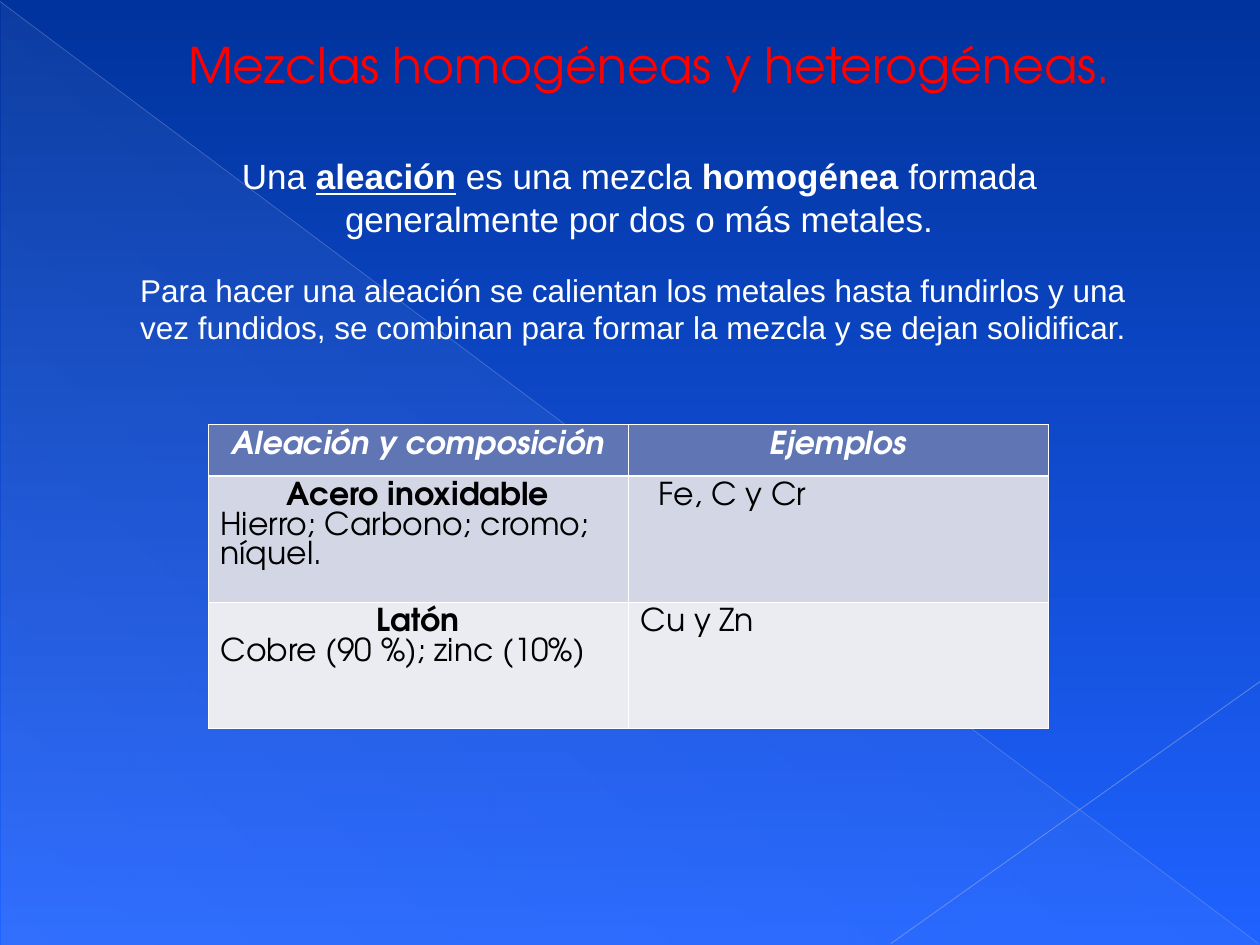
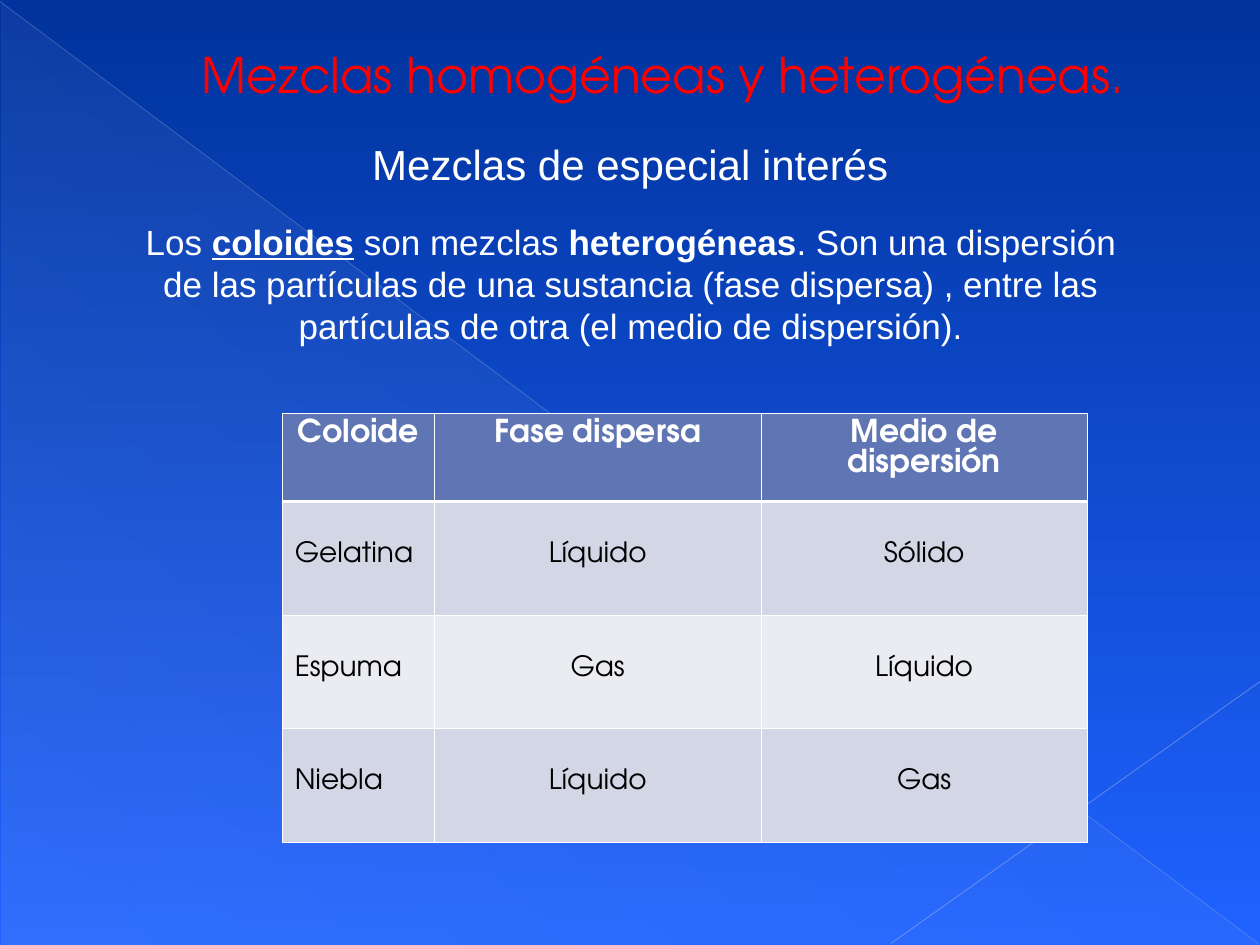
from lxml import etree
from pptx import Presentation
from pptx.dml.color import RGBColor
from pptx.enum import shapes, text
from pptx.oxml.ns import qn
from pptx.util import Cm, Pt

COLORS = {
    "background_top": "00339D",
    "background_bottom": "1F62FF",
    "veil": "E4E9EF",
    "long_diagonal": "A9B6DB",
    "short_diagonal": "B3BEDE",
    "title": "FF0000",
    "white": "FFFFFF",
    "black": "000000",
    "header": "6076B4",
    "odd_row": "D2D6E5",
    "even_row": "EAECF2",
}
HEADING_FONT = "TeX Gyre Adventor"
BODY_FONT = "Arial"
TITLE = "Mezclas homogéneas y heterogéneas."
LEFT, CENTER = text.PP_ALIGN.LEFT, text.PP_ALIGN.CENTER
THIN, THICK = 0.45, 1.47


def rgb(name):
    return RGBColor.from_string(COLORS[name])


def set_alpha(color_element, percent):
    etree.SubElement(color_element, qn("a:alpha"), val=str(percent * 1000))


def fill_gradient(fill, colors, angle):
    fill.gradient()
    fill.gradient_angle = angle
    for stop, color in zip(fill.gradient_stops, colors):
        stop.color.rgb = rgb(color)


def write_text(frame, content, size=18, font=BODY_FONT, color="white",
               bold=False, italic=False, align=CENTER, line_spacing=None):
    """Add a paragraph; content is a string or (string, marks) pairs, marks "b" and "u"."""
    paragraph = frame.paragraphs[0]
    if paragraph.runs:
        paragraph = frame.add_paragraph()
    paragraph.alignment = align
    if line_spacing:
        paragraph.line_spacing = line_spacing
    pieces = [(content, "")] if isinstance(content, str) else content
    for piece, marks in pieces:
        run = paragraph.add_run()
        run.text = piece
        run.font.size = Pt(size)
        run.font.name = font
        run.font.color.rgb = rgb(color)
        run.font.bold = bold or "b" in marks
        run.font.italic = italic
        run.font.underline = "u" in marks


def add_veil(slide):
    triangle = slide.shapes.add_shape(shapes.MSO_SHAPE.RIGHT_TRIANGLE,
                                      Cm(0.03), Cm(0.05), Cm(25.37), Cm(19))
    triangle.shadow.inherit = False
    triangle.line.fill.background()
    fill_gradient(triangle.fill, ("veil", "veil"), 227)
    stops = triangle.element.spPr.iter(qn("a:srgbClr"))
    for color_element, percent in zip(stops, (1, 10)):
        set_alpha(color_element, percent)
    return triangle


def add_diagonal(slide, start, end, color, width, alpha):
    points = [Cm(value) for value in (*start, *end)]
    line = slide.shapes.add_connector(shapes.MSO_CONNECTOR.STRAIGHT, *points)
    line.line.color.rgb = rgb(color)
    line.line.width = Pt(width)
    properties = line.element.spPr
    set_alpha(next(properties.iter(qn("a:srgbClr"))), alpha)
    etree.SubElement(properties, qn("a:effectLst"))
    return line


def decorate_layout(layout, slide):
    """Draw the backdrop with the slide's shape tools, then move it to the layout."""
    fill_gradient(layout.background.fill,
                  ("background_top", "background_bottom"), 270)
    backdrop = [
        add_veil(slide),
        add_diagonal(slide, (0, 0.03), (25.37, 19.02), "long_diagonal", 0.4, 35),
        add_diagonal(slide, (25.4, 13.74), (17.96, 19.02), "short_diagonal", 0.48, 45),
    ]
    tree = layout.shapes.element
    for index, shape in enumerate(backdrop):
        shape.element.xpath("./*/p:cNvPr")[0].set("id", str(100 + index))
        tree.insert(2 + index, shape.element)


def add_title(slide, left, top, align):
    title = slide.shapes.title
    title.left, title.top, title.width, title.height = (
        Cm(left), Cm(top), Cm(21.59), Cm(1.9))
    frame = title.text_frame
    frame.auto_size = text.MSO_AUTO_SIZE.NONE
    frame.vertical_anchor = text.MSO_ANCHOR.TOP
    write_text(frame, TITLE, size=28, font=HEADING_FONT, color="title",
               align=align, line_spacing=0.9)


def add_text(slide, left, top, width, height, content, size):
    box = slide.shapes.add_textbox(Cm(left), Cm(top), Cm(width), Cm(height))
    box.text_frame.word_wrap = True
    write_text(box.text_frame, content, size=size)


def set_borders(cell, top, bottom):
    properties = cell._tc.get_or_add_tcPr()
    sides = {"L": THIN, "R": THIN, "T": top, "B": bottom}
    for index, (side, width) in enumerate(sides.items()):
        border = etree.Element(qn(f"a:ln{side}"), w=str(Pt(width)))
        fill = etree.SubElement(border, qn("a:solidFill"))
        etree.SubElement(fill, qn("a:srgbClr"), val=COLORS["white"])
        properties.insert(index, border)


def add_table(slide, left, top, widths, heights):
    """Add an empty table with a header row, banded fills and white borders."""
    table = slide.shapes.add_table(len(heights), len(widths), Cm(left), Cm(top),
                                   Cm(sum(widths)), Cm(sum(heights))).table
    for column, width in zip(table.columns, widths):
        column.width = Cm(width)
    for index, (row, height) in enumerate(zip(table.rows, heights)):
        row.height = Cm(height)
        band = "header" if index == 0 else "odd_row" if index % 2 else "even_row"
        for cell in row.cells:
            cell.fill.solid()
            cell.fill.fore_color.rgb = rgb(band)
            set_borders(cell, THICK if index == 1 else THIN,
                        THICK if index == 0 else THIN)
    return table


def write_header(table, labels, italic=False):
    for cell, label in zip(table.rows[0].cells, labels):
        write_text(cell.text_frame, label, font=HEADING_FONT, bold=True, italic=italic)


def write_cell(cell, content, **options):
    write_text(cell.text_frame, content, font=HEADING_FONT, color="black", **options)


def build_alloys(slide):
    add_title(slide, 2.29, 0.71, CENTER)
    add_text(slide, 2.41, 3, 20.96, 1.96, [
        ("Una ", ""), ("aleación", "bu"), (" es una mezcla ", ""),
        ("homogénea", "b"),
        (" formada generalmente por dos o más metales.", "")], 20)
    add_text(slide, 2.18, 5.33, 21.16, 1.78,
             "Para hacer una aleación se calientan los metales hasta fundirlos y una "
             "vez fundidos, se combinan para formar la mezcla y se dejan solidificar.", 18)
    table = add_table(slide, 4.19, 8.56, [8.47] * 2, [1.04, 2.54, 2.54])
    write_header(table, ["Aleación y composición", "Ejemplos"], italic=True)
    alloys = [
        ("Acero inoxidable", "Hierro; Carbono; cromo; níquel.", "Fe, C y Cr"),
        ("Latón", "Cobre (90 %); zinc (10%)", "Cu y Zn"),
    ]
    for index, (name, composition, symbols) in enumerate(alloys, 1):
        write_cell(table.cell(index, 0), name, bold=True)
        write_cell(table.cell(index, 0), composition, align=LEFT)
        write_cell(table.cell(index, 1), symbols, align=LEFT)
    table.cell(1, 1).margin_left = Cm(0.61)


def build_colloids(slide):
    add_title(slide, 3.81, 0.91, LEFT)
    add_text(slide, 2.86, 2.67, 19.69, 1.27, "Mezclas de especial interés", 24)
    add_text(slide, 2.24, 4.32, 20.96, 2.79, [
        ("Los ", ""), ("coloides", "bu"), (" son mezclas ", ""),
        ("heterogéneas", "b"),
        (". Son una dispersión de las partículas de una sustancia (fase dispersa) , "
         "entre las partículas de otra (el medio de dispersión).", "")], 20)
    table = add_table(slide, 5.69, 8.33, [3.07, 6.58, 6.58], [1.78] + [2.29] * 3)
    write_header(table, ["Coloide", "Fase dispersa", "Medio de dispersión"])
    colloids = [
        ("Gelatina", "Líquido", "Sólido"),
        ("Espuma", "Gas", "Líquido"),
        ("Niebla", "Líquido", "Gas"),
    ]
    for row, colloid in enumerate(colloids, 1):
        for column, value in enumerate(colloid):
            cell = table.cell(row, column)
            cell.margin_top = Cm(0.82)
            write_cell(cell, value, size=16, align=CENTER if column else LEFT)


def main():
    presentation = Presentation()
    presentation.slide_width, presentation.slide_height = Cm(25.4), Cm(19.05)
    layout = presentation.slide_layouts.get_by_name("Title Only")
    alloys, colloids = [presentation.slides.add_slide(layout) for _ in range(2)]
    decorate_layout(layout, alloys)
    build_alloys(alloys)
    build_colloids(colloids)
    presentation.save("out.pptx")


if __name__ == "__main__":
    main()
